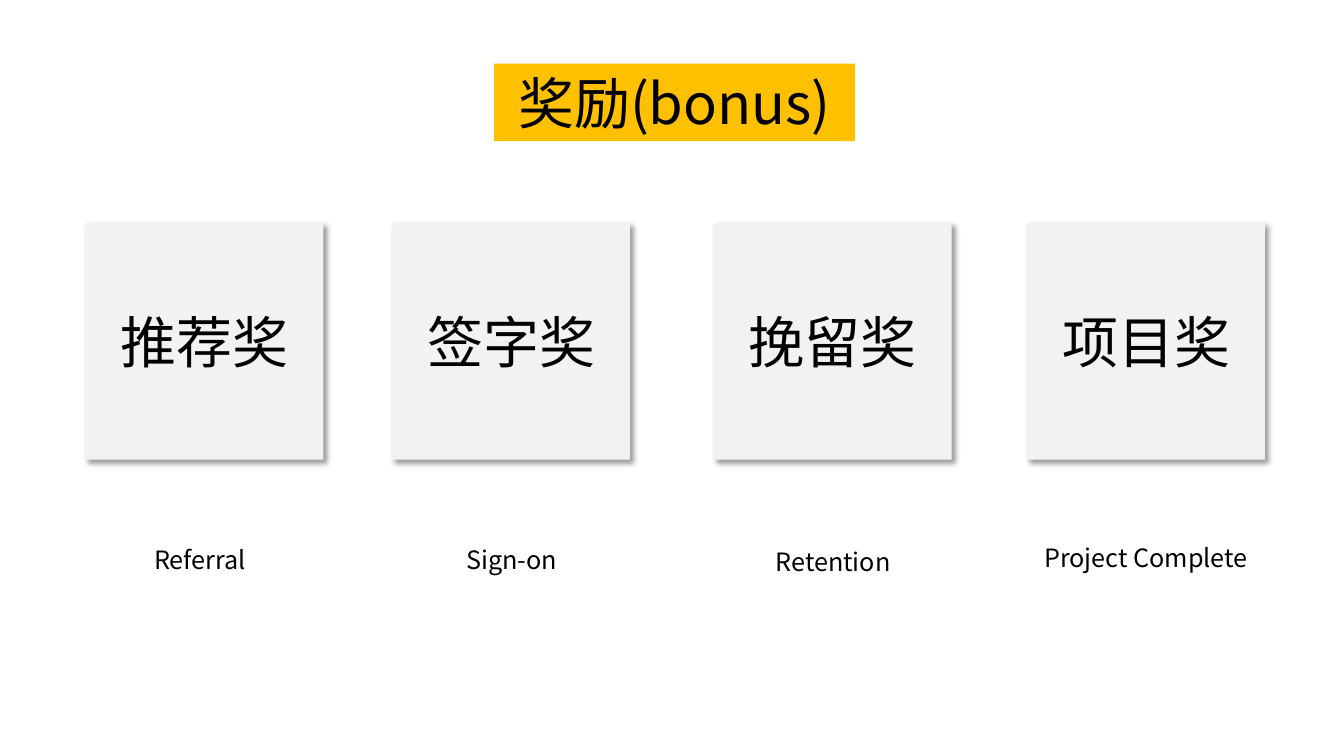
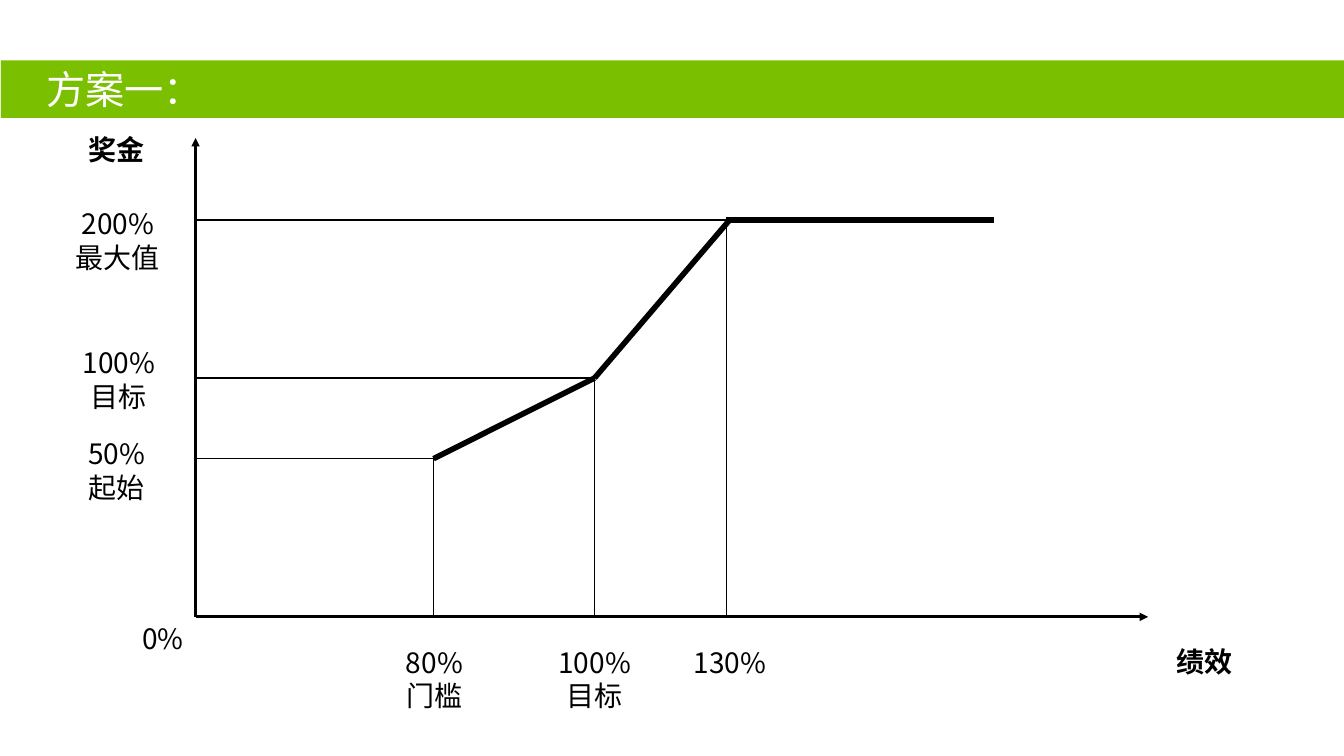
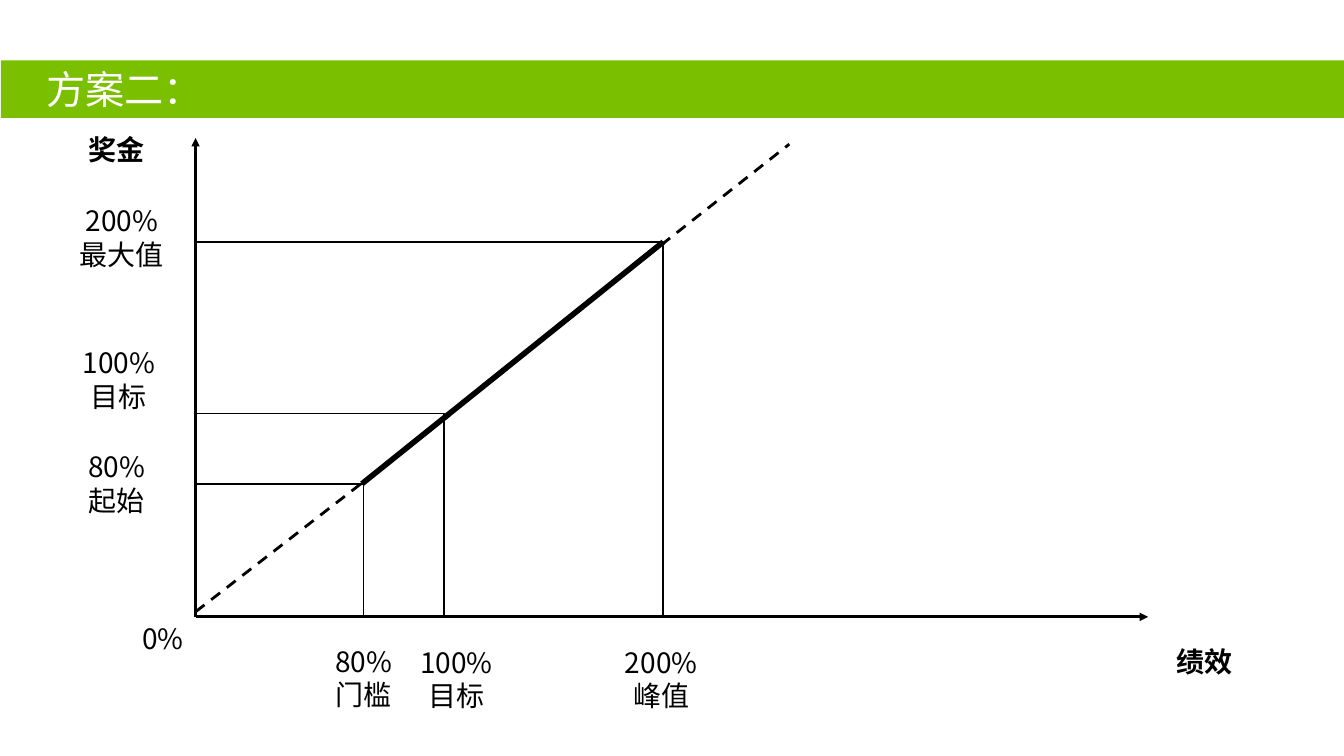
from lxml import etree
from pptx import Presentation
from pptx import util as u
from pptx.dml.color import RGBColor
from pptx.enum import dml, shapes, text
from pptx.oxml.ns import qn

Pt = u.Pt

# Shared look
BLACK = RGBColor(0x00, 0x00, 0x00)
WHITE = RGBColor(0xFF, 0xFF, 0xFF)
AMBER = RGBColor(0xFF, 0xC0, 0x00)
GREEN = RGBColor(0x7A, 0xBF, 0x00)
PALE_GREY = RGBColor(0xF2, 0xF2, 0xF2)
FONT = "Noto Sans CJK SC"

PAGE_WIDTH, PAGE_HEIGHT = 960, 540
CARD_WIDTH, CARD_HEIGHT, CARD_TOP = 169.9, 169.2, 159.1

# Axes of the bonus diagrams
ORIGIN_X, ORIGIN_Y = 139.7, 440.6
AXIS_RIGHT, AXIS_TOP = 820.1, 98.6
GUIDE_LIMIT = 806
LABEL_WIDTH = 80.6
GUIDE, AXIS, CURVE = 1, 2, 4

# Card name, card left, caption, caption left, caption top, caption width
BONUSES = [
    ("推荐奖", 61.2, "Referral", 85.7, 385.2, 114.5),
    ("签字奖", 280.1, "Sign-on", 308.2, 385.2, 114.5),
    ("挽留奖", 509.8, "Retention", 537.8, 386.6, 114.5),
    ("项目奖", 733.7, "Project Complete", 733.7, 383.8, CARD_WIDTH),
]

# Guides: knee x, level y. Lines: x1, y1, x2, y2. Labels: text, left, top.
PLANS = [
    {
        "title": "方案一：",
        "guides": [(309.7, 327.6), (424.7, 270), (519.1, 157)],
        "curve": [(309.7, 327.6, 424.7, 270), (424.7, 270, 521.3, 157),
                  (518.4, 157, 709.9, 157)],
        "dashes": [],
        "labels": [("200%\n最大值", 43.9, 144), ("100%\n目标", 44.6, 243.4),
                   ("50%\n起始", 43.2, 308.2), ("80%\n门槛", 270, 457.2),
                   ("100%\n目标", 384.5, 457.2), ("130%", 481, 457.2)],
    },
    {
        "title": "方案二：",
        "guides": [(259.7, 345.6), (317.2, 295.2), (473.8, 172.8)],
        "curve": [(258.5, 345.6, 473.8, 172.8)],
        "dashes": [(139.7, 437, 321.1, 296.6), (472.3, 175, 563.8, 103)],
        "labels": [("200%\n最大值", 46.8, 141.8), ("100%\n目标", 44.6, 243.4),
                   ("80%\n起始", 43.2, 317.5), ("80%\n门槛", 219.6, 456.5),
                   ("100%\n目标", 285.8, 457.2), ("200%\n峰值", 432, 457.2)],
    },
]


def add_xml(parent, tag, **attributes):
    return etree.SubElement(parent, qn(tag), attributes)


def write(box, words, size, color=BLACK, bold=False, grow=True, indent=0,
          align=text.PP_ALIGN.CENTER):
    frame = box.text_frame
    fit = text.MSO_AUTO_SIZE
    anchor = text.MSO_ANCHOR
    frame_format = {
        "word_wrap": True,
        "auto_size": fit.SHAPE_TO_FIT_TEXT if grow else fit.NONE,
        "vertical_anchor": anchor.TOP if grow else anchor.MIDDLE,
        "margin_left": Pt(7.2 + indent),
    }
    for name, value in frame_format.items():
        setattr(frame, name, value)
    for index, line in enumerate(words.split("\n")):
        para = frame.add_paragraph() if index else frame.paragraphs[0]
        para.alignment = align
        span = para.add_run()
        span.text = line
        for name, value in {"name": FONT, "size": Pt(size), "bold": bold}.items():
            setattr(span.font, name, value)
        span.font.color.rgb = color
        add_xml(span.font._element, "a:ea", typeface=FONT)


def add_label(page, words, left, top, width=LABEL_WIDTH, size=20, bold=False):
    height = 7.2 + size * 1.2 * len(words.split("\n"))
    box = page.shapes.add_textbox(Pt(left), Pt(top), Pt(width), Pt(height))
    write(box, words, size, bold=bold)


def add_block(page, left, top, width, height, fill):
    block = page.shapes.add_shape(shapes.MSO_SHAPE.RECTANGLE, Pt(left), Pt(top),
                                  Pt(width), Pt(height))
    block.fill.solid()
    block.fill.fore_color.rgb = fill
    block.line.fill.background()
    block.shadow.inherit = False
    return block


def add_card(page, name, left):
    card = add_block(page, left, CARD_TOP, CARD_WIDTH, CARD_HEIGHT, PALE_GREY)
    effects = card._element.spPr.find(qn("a:effectLst"))
    shadow = add_xml(effects, "a:outerShdw", blurRad=str(Pt(4)), dist=str(Pt(3)),
                     dir="2700000", algn="tl", rotWithShape="0")
    tint = add_xml(shadow, "a:srgbClr", val=str(BLACK))
    add_xml(tint, "a:alpha", val="40000")
    write(card, name, 40, grow=False)


def add_line(page, x1, y1, x2, y2, width, dashed=False, arrow=False,
             kind=shapes.MSO_CONNECTOR.STRAIGHT):
    line = page.shapes.add_connector(kind, Pt(x1), Pt(y1), Pt(x2), Pt(y2))
    line.line.width = Pt(width)
    line.line.color.rgb = BLACK
    if dashed:
        line.line.dash_style = dml.MSO_LINE.DASH
    if arrow:
        add_xml(line.line._get_or_add_ln(), "a:tailEnd", type="triangle")
    add_xml(line._element.spPr, "a:effectLst")
    return line


def add_guide(page, knee, level):
    """Run from the bonus axis to the knee, then down and along the base."""
    end = min(2 * knee - ORIGIN_X, GUIDE_LIMIT)
    guide = add_line(page, ORIGIN_X, level, end, ORIGIN_Y, GUIDE,
                     kind=shapes.MSO_CONNECTOR.ELBOW)
    share = round((knee - ORIGIN_X) / (end - ORIGIN_X) * 100000)
    geometry = guide._element.spPr.find(qn("a:prstGeom"))
    adjustments = geometry.find(qn("a:avLst"))
    if adjustments is None:
        adjustments = add_xml(geometry, "a:avLst")
    add_xml(adjustments, "a:gd", name="adj1", fmla=f"val {share}")


def new_page(deck):
    return deck.slides.add_slide(deck.slide_layouts[6])


def build_bonus_page(deck):
    page = new_page(deck)
    title = add_block(page, 352.8, 45.4, 257.8, 55.4, AMBER)
    write(title, "奖励(bonus)", 40)
    for name, card_left, caption, left, top, width in BONUSES:
        add_card(page, name, card_left)
        add_label(page, caption, left, top, width, size=18)


def build_plan_page(deck, plan):
    page = new_page(deck)

    # Axes and guides
    for end in [(AXIS_RIGHT, ORIGIN_Y), (ORIGIN_X, AXIS_TOP)]:
        add_line(page, ORIGIN_X, ORIGIN_Y, *end, AXIS, arrow=True)
    for knee, level in plan["guides"]:
        add_guide(page, knee, level)

    # Payout curve
    for ends in plan["curve"]:
        add_line(page, *ends, CURVE)
    for ends in plan["dashes"]:
        add_line(page, *ends, AXIS, dashed=True)

    # Labels
    for words, left, top in plan["labels"]:
        add_label(page, words, left, top)
    add_label(page, "0%", 45.4, 440.6, 141.8)
    add_label(page, "绩效", 820.1, 456.5, bold=True)
    add_label(page, "奖金", 43.2, 91.4, bold=True)

    # Title band
    band = add_block(page, 0.7, 43.2, PAGE_WIDTH, 41, GREEN)
    write(band, plan["title"], 28, WHITE, indent=25, align=text.PP_ALIGN.LEFT)


def main():
    deck = Presentation()
    deck.slide_width, deck.slide_height = Pt(PAGE_WIDTH), Pt(PAGE_HEIGHT)
    build_bonus_page(deck)
    for plan in PLANS:
        build_plan_page(deck, plan)
    deck.save("out.pptx")


if __name__ == "__main__":
    main()
